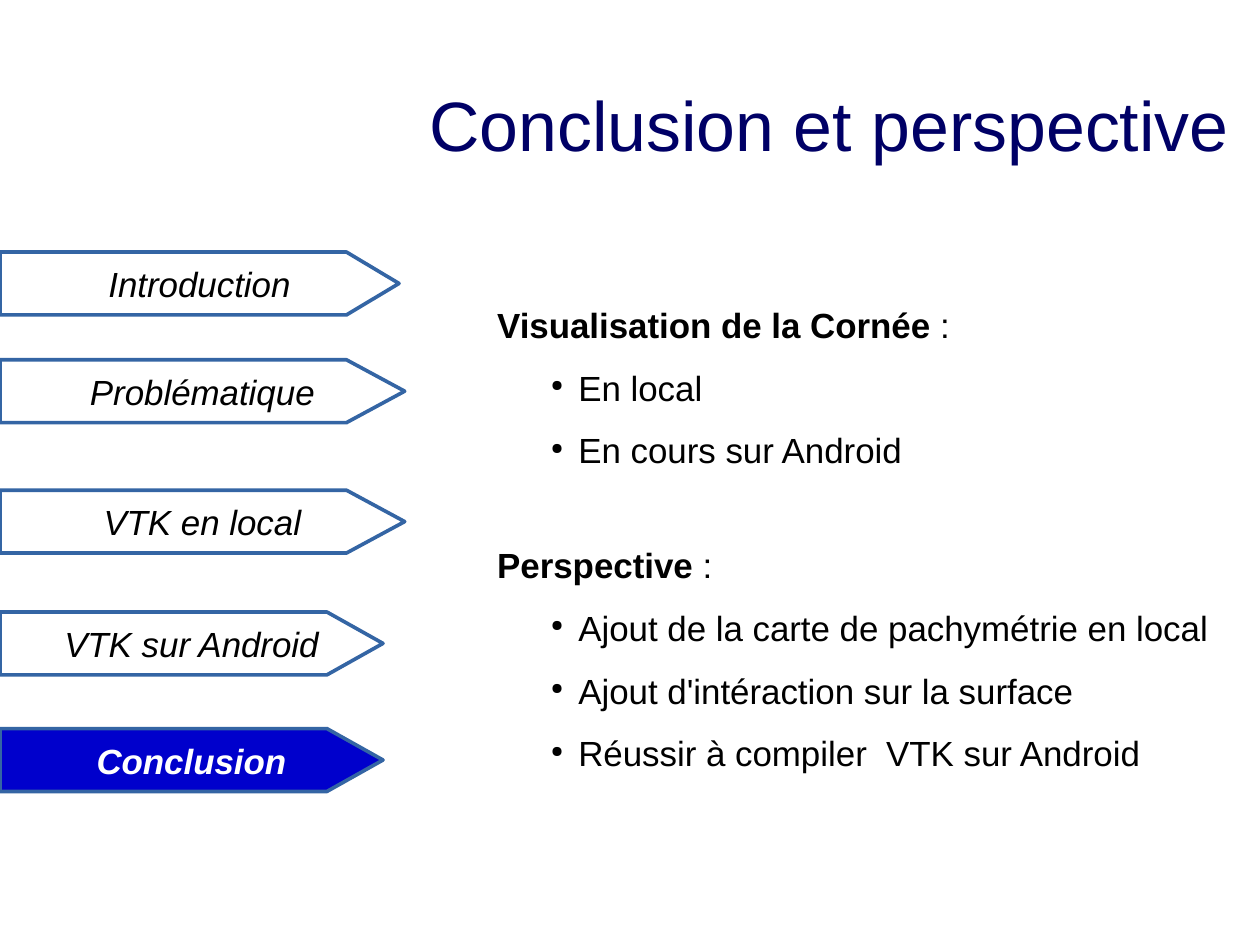
from dataclasses import dataclass

from lxml import etree
from pptx import Presentation
from pptx import util as u
from pptx.dml.color import RGBColor
from pptx.enum import text
from pptx.oxml.ns import qn


@dataclass(frozen=True)
class Theme:
    font: str = "Arial"
    bullet_font: str = "StarSymbol"
    title_size: int = 44
    text_size: int = 22
    title: str = "000066"
    ink: str = "000000"
    paper: str = "FFFFFF"
    active: str = "0000CC"
    outline: str = "3465A4"
    outline_width: float = 2.3


@dataclass(frozen=True)
class Box:
    left: float
    top: float
    width: float
    height: float


THEME = Theme()
WIDTH, HEIGHT = u.Cm(28), u.Cm(21)
COLUMN, ROW = WIDTH / 100, HEIGHT / 100
ARROW_ROWS = 6.65

TITLE = "Conclusion et perspective"
STEPS = [
    ("Introduction", 0, 27.5, 31.67),
    ("Problématique", 11.4, 27.5, 32.12),
    ("VTK en local", 25.2, 27.5, 32.12),
    ("VTK sur Android", 38.09, 25.95, 30.4),
    ("Conclusion", 50.43, 25.95, 30.4),
]
CURRENT_STEP = "Conclusion"
SECTIONS = [
    ("Visualisation de la Cornée", ["En local", "En cours sur Android"]),
    ("Perspective", [
        "Ajout de la carte de pachymétrie en local",
        "Ajout d'intéraction sur la surface",
        "Réussir à compiler  VTK sur Android",
    ]),
]


def color(value):
    return RGBColor.from_string(value)


def style_runs(paragraph, size, ink, bold=False, italic=False):
    for run in paragraph.runs:
        run.font.name = THEME.font
        run.font.size = u.Pt(size)
        run.font.color.rgb = color(ink)
        run.font.bold = bold
        run.font.italic = italic


def set_margins(frame, horizontal, vertical):
    frame.margin_left = frame.margin_right = u.Inches(horizontal)
    frame.margin_top = frame.margin_bottom = u.Inches(vertical)


def add_text_frame(slide, box):
    shape = slide.shapes.add_textbox(
        round(box.left * COLUMN), round(box.top * ROW),
        round(box.width * COLUMN), round(box.height * ROW))
    shape.text_frame.word_wrap = True
    return shape.text_frame


def add_title(slide, box):
    frame = add_text_frame(slide, box)
    set_margins(frame, 0, 0)
    frame.vertical_anchor = text.MSO_ANCHOR.MIDDLE
    frame.text = TITLE
    paragraph = frame.paragraphs[0]
    paragraph.alignment = text.PP_ALIGN.CENTER
    style_runs(paragraph, THEME.title_size, THEME.title)


def add_arrow(slide, box, label, shoulder):
    left, top = box.left * COLUMN, box.top * ROW
    right, bottom = left + box.width * COLUMN, top + box.height * ROW
    neck, middle = left + shoulder * COLUMN, (top + bottom) / 2
    builder = slide.shapes.build_freeform(round(left), round(top))
    builder.add_line_segments(
        [(neck, top), (right, middle), (neck, bottom), (left, bottom)], close=True)
    arrow = builder.convert_to_shape()
    is_current = label == CURRENT_STEP
    arrow.shadow.inherit = False
    arrow.fill.solid()
    arrow.fill.fore_color.rgb = color(THEME.active if is_current else THEME.paper)
    arrow.line.color.rgb = color(THEME.outline)
    arrow.line.width = u.Pt(THEME.outline_width)
    etree.SubElement(arrow.element.spPr.find(qn("a:ln")), qn("a:round"))

    frame = arrow.text_frame
    set_margins(frame, 0.11, 0.06)
    frame.word_wrap = False
    frame.vertical_anchor = text.MSO_ANCHOR.MIDDLE
    frame.text = label
    paragraph = frame.paragraphs[0]
    paragraph.alignment = text.PP_ALIGN.CENTER
    style_runs(paragraph, THEME.text_size, THEME.paper if is_current else THEME.ink,
               bold=is_current, italic=True)


def add_navigation(slide, box):
    for label, offset, shoulder, tip in STEPS:
        add_arrow(slide, Box(box.left, box.top + offset, tip, ARROW_ROWS), label, shoulder)


def add_bullet(paragraph):
    paragraph.level = 1
    properties = paragraph._p.get_or_add_pPr()
    properties.set("marL", str(u.Inches(0.71)))
    properties.set("indent", str(u.Inches(-0.24)))
    bullet_color = etree.SubElement(properties, qn("a:buClr"))
    etree.SubElement(bullet_color, qn("a:srgbClr"), val=THEME.ink)
    etree.SubElement(properties, qn("a:buSzPct"), val="45000")
    etree.SubElement(properties, qn("a:buFont"), typeface=THEME.bullet_font)
    etree.SubElement(properties, qn("a:buChar"), char="●")


def add_body(slide, box):
    frame = add_text_frame(slide, box)
    set_margins(frame, 0.1, 0.05)
    frame.margin_right = 0
    for index, (heading, items) in enumerate(SECTIONS):
        paragraph = frame.add_paragraph() if index else frame.paragraphs[0]
        paragraph.line_spacing = 1.5
        if index:
            paragraph.space_before = u.Pt(32.5)
        paragraph.text = heading
        paragraph.add_run().text = " :"
        style_runs(paragraph, THEME.text_size, THEME.ink)
        paragraph.runs[0].font.bold = True
        for item in items:
            paragraph = frame.add_paragraph()
            paragraph.line_spacing = 1.5
            add_bullet(paragraph)
            paragraph.text = item
            style_runs(paragraph, THEME.text_size, THEME.ink)


def main():
    presentation = Presentation()
    presentation.slide_width, presentation.slide_height = WIDTH, HEIGHT
    slide = presentation.slides.add_slide(presentation.slide_layouts[6])
    add_title(slide, Box(31.67, 4.7, 68.33, 16.7))
    add_navigation(slide, Box(0, 26.67, 32.12, 57.08))
    add_body(slide, Box(38.57, 29.3, 58.35, 49.7))
    presentation.save("out.pptx")


if __name__ == "__main__":
    main()
